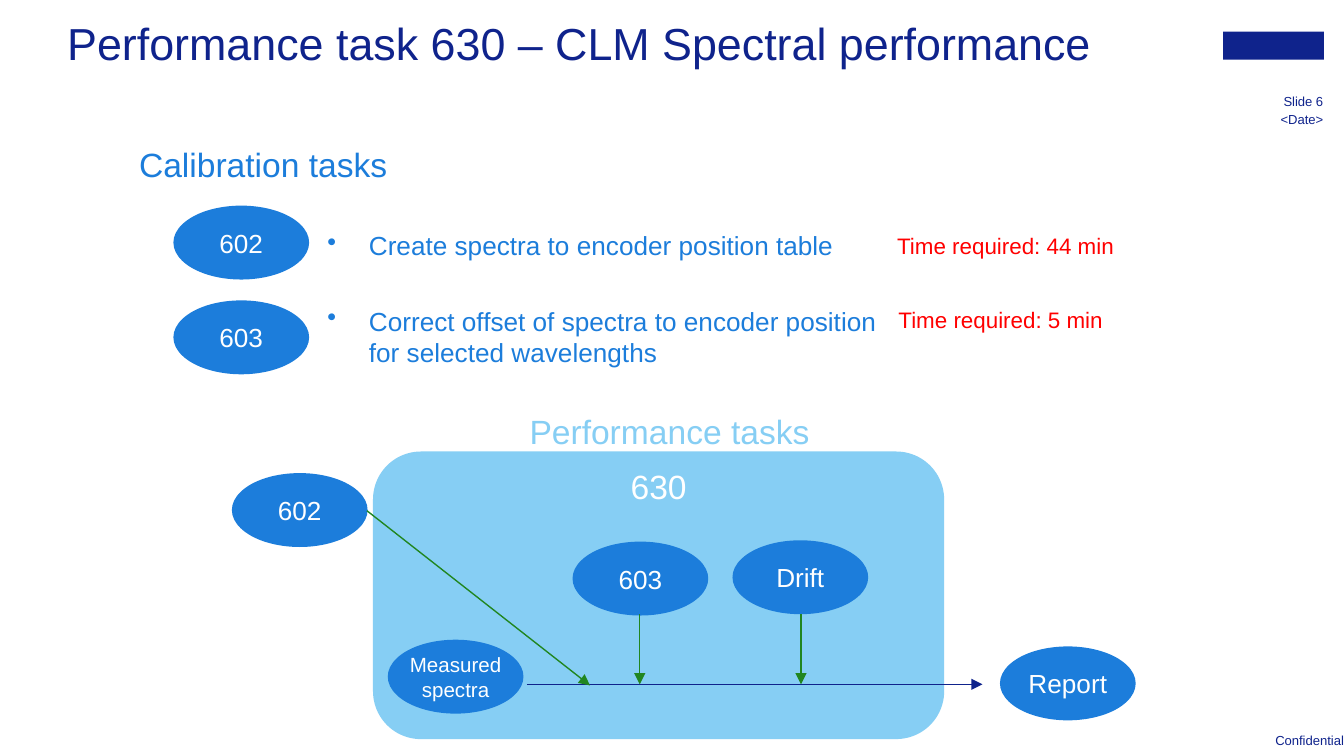
"""Build the slide on the CLM spectral performance task."""
from lxml import etree
from pptx import Presentation
from pptx.dml.color import RGBColor
from pptx.enum.shapes import MSO_CONNECTOR, MSO_SHAPE
from pptx.enum.text import MSO_ANCHOR, MSO_AUTO_SIZE, PP_ALIGN
from pptx.oxml.ns import qn
from pptx.util import Inches, Pt

NAVY = RGBColor(0x0F, 0x23, 0x8C)
BLUE = RGBColor(0x1C, 0x7D, 0xDB)
SKY = RGBColor(0x86, 0xCE, 0xF4)
GREEN = RGBColor(0x21, 0x86, 0x20)
RED = RGBColor(0xFF, 0x00, 0x00)
WHITE = RGBColor(0xFF, 0xFF, 0xFF)
OVAL, ROUNDED, RECTANGLE = MSO_SHAPE.OVAL, MSO_SHAPE.ROUNDED_RECTANGLE, MSO_SHAPE.RECTANGLE
STRAIGHT = MSO_CONNECTOR.STRAIGHT
TOP, MIDDLE = MSO_ANCHOR.TOP, MSO_ANCHOR.MIDDLE
LEFT, CENTER, RIGHT = PP_ALIGN.LEFT, PP_ALIGN.CENTER, PP_ALIGN.RIGHT
FIT_SHAPE = MSO_AUTO_SIZE.SHAPE_TO_FIT_TEXT

presentation = Presentation()
presentation.slide_width = Inches(10)
presentation.slide_height = presentation.slide_width * 9 // 16
COLUMN = presentation.slide_width / 100
ROW = presentation.slide_height / 56.25
slide = presentation.slides.add_slide(presentation.slide_layouts[6])


def place(columns, rows, wide, high):
    return [round(columns * COLUMN), round(rows * ROW), round(wide * COLUMN), round(high * ROW)]


def write(shape, text, size, color, anchor=TOP, **formats):
    frame = shape.text_frame
    frame_format = {"word_wrap": True, "vertical_anchor": anchor, "margin_left": 0,
                    "margin_right": 0, "margin_top": 0, "margin_bottom": 0}
    for name, value in frame_format.items():
        setattr(frame, name, value)
    paragraph = frame.paragraphs[0]
    paragraph.text = text
    for name, value in formats.items():
        setattr(paragraph, name, value)
    for name, value in {"name": "Arial", "size": Pt(size)}.items():
        setattr(paragraph.font, name, value)
    paragraph.font.color.rgb = color
    return paragraph


logo_block = slide.shapes.add_shape(RECTANGLE, *place(91, 2.35, 7.5, 2.1))
logo_block.shadow.inherit = False
logo_block.fill.solid()
logo_block.fill.fore_color.rgb = NAVY
logo_block.line.fill.background()

right_aligned = {"anchor": MIDDLE, "alignment": RIGHT}
spaced = {"alignment": LEFT, "space_after": Pt(9)}
confidential = slide.shapes.add_textbox(*place(92.4, 54, 7.6, 2.2))
write(confidential, "Confidential", 7, NAVY, **right_aligned)
for name, value in {"word_wrap": False, "auto_size": FIT_SHAPE}.items():
    setattr(confidential.text_frame, name, value)

labels = [
    ("<Date>", (90.25, 8.5, 8.2, 1), 7, NAVY, {**right_aligned, "line_spacing": Pt(7)}),
    ("Slide 6", (90.25, 7.05, 8.2, 1), 7, NAVY, {**right_aligned, "line_spacing": Pt(8)}),
    ("Performance task 630 – CLM Spectral performance", (5, 1.2, 83.2, 3.6), 24, NAVY, {}),
    ("Calibration tasks", (10.35, 10.7, 19, 3), 18, BLUE, spaced),
    ("Time required: 44 min", (66.75, 17.25, 17.1, 2), 12, RED, spaced),
    ("Time required: 5 min", (66.85, 22.8, 17.1, 2), 12, RED, spaced),
]
for text, box, size, color, formats in labels:
    write(slide.shapes.add_textbox(*place(*box)), text, size, color, **formats)

bullets = [
    ("Create spectra to encoder position table", (24.35, 17.1, 39.1, 2.4)),
    ("Correct offset of spectra to encoder position for selected wavelengths",
     (24.35, 22.7, 43.1, 4.7)),
]
for text, box in bullets:
    paragraph = write(slide.shapes.add_textbox(*place(*box)), text, 14, BLUE, **spaced)
    properties = paragraph._p.get_or_add_pPr()
    properties.set("marL", str(Inches(0.31)))
    properties.set("indent", str(-Inches(0.31)))
    etree.SubElement(properties, qn("a:buChar"), char="•")

OVAL_SIZE = (10.1, 5.5)
nodes = [
    ("602", OVAL, (12.9, 15.3, *OVAL_SIZE), 14, BLUE, MIDDLE),
    ("603", OVAL, (12.9, 22.35, *OVAL_SIZE), 14, BLUE, MIDDLE),
    ("630", ROUNDED, (27.75, 33.6, 42.5, 21.4), 18, SKY, TOP),
    ("602", OVAL, (17.25, 35.2, *OVAL_SIZE), 14, BLUE, MIDDLE),
    ("603", OVAL, (42.6, 40.3, *OVAL_SIZE), 14, BLUE, MIDDLE),
    ("Drift", OVAL, (54.5, 40.2, *OVAL_SIZE), 14, BLUE, MIDDLE),
    ("Measured spectra", OVAL, (28.85, 47.6, *OVAL_SIZE), 11, BLUE, MIDDLE),
    ("Report", OVAL, (74.4, 48.1, *OVAL_SIZE), 14, BLUE, MIDDLE),
]
for text, kind, box, size, color, anchor in nodes:
    shape = slide.shapes.add_shape(kind, *place(*box))
    shape.shadow.inherit = False
    shape.fill.solid()
    shape.fill.fore_color.rgb = color
    shape.line.fill.background()
    write(shape, text, size, WHITE, anchor, alignment=CENTER)

FLOW_ROW = 50.92
arrows = [
    ((39.2, FLOW_ROW, 73.1, FLOW_ROW), NAVY),
    ((27.3, 38, 43.9, 51), GREEN),
    ((47.6, 45.7, 47.6, FLOW_ROW), GREEN),
    ((59.6, 45.7, 59.6, FLOW_ROW), GREEN),
]
for ends, color in arrows:
    arrow = slide.shapes.add_connector(STRAIGHT, *place(*ends))
    arrow.line.color.rgb = color
    arrow.line.width = Pt(0.75)
    etree.SubElement(arrow.line._get_or_add_ln(), qn("a:tailEnd"), type="triangle")
    etree.SubElement(arrow._element.spPr, qn("a:effectLst"))

performance_heading = slide.shapes.add_textbox(*place(39.4, 30.6, 22, 3))
write(performance_heading, "Performance tasks", 18, SKY, **spaced)

presentation.save("out.pptx")
